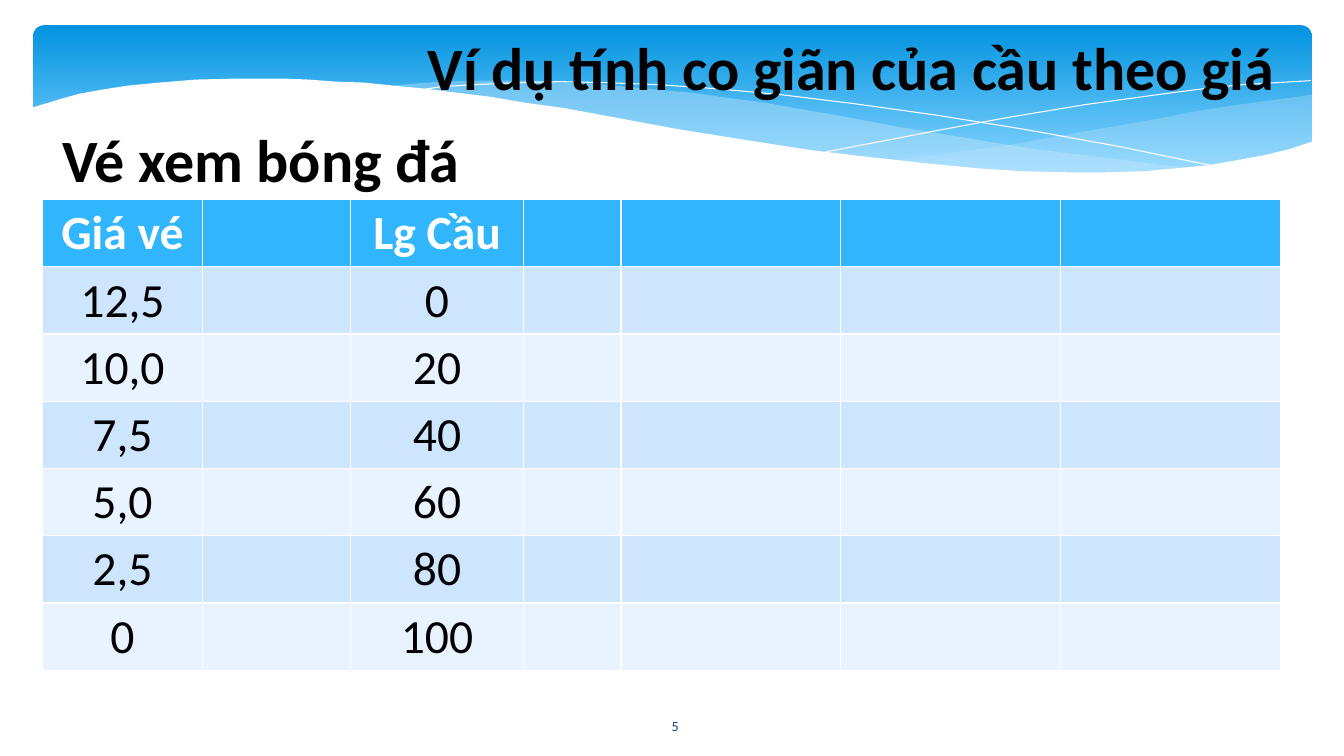
import pptx
import pptx.dml.color
import pptx.enum.shapes
import pptx.enum.text
import pptx.oxml.ns
import pptx.util
from lxml import etree
from pptx.util import Inches

ALIGN = pptx.enum.text.PP_ALIGN
ANCHOR = pptx.enum.text.MSO_ANCHOR


def color(hex_text):
    return pptx.dml.color.RGBColor.from_string(hex_text)


def write(text_frame, text, size, hex_text, bold=False):
    """Fill a text frame with one centred Calibri paragraph."""
    text_frame.word_wrap = True
    paragraph = text_frame.paragraphs[0]
    paragraph.text = text
    paragraph.alignment = ALIGN.CENTER
    paragraph.font.name = "Calibri"
    paragraph.font.size = pptx.util.Pt(size)
    paragraph.font.bold = bold
    paragraph.font.color.rgb = color(hex_text)


presentation = pptx.Presentation()
presentation.slide_width = Inches(13.33)
presentation.slide_height = Inches(7.5)
slide = presentation.slides.add_slide(presentation.slide_layouts[5])
shapes = slide.shapes

# Blue banner
banner = shapes.add_shape(
    pptx.enum.shapes.MSO_SHAPE.ROUNDED_RECTANGLE,
    Inches(0.33), Inches(0.25), Inches(12.68), Inches(1.56))
banner.adjustments[0] = 0.07
banner.shadow.inherit = False
banner.line.fill.background()
banner.fill.gradient()
banner.fill.gradient_angle = 270
for stop, position, shade in zip(banner.fill.gradient_stops, (0, 0.9), ("0293E0", "83D3FE")):
    stop.position = position
    stop.color.rgb = color(shade)

# Waves over the banner: points, fill colour, opacity in percent
right_wave = [
    (13.01, 0.94), (12.65, 0.99), (12.27, 1.04), (11.88, 1.1), (11.47, 1.18),
    (10.73, 1.31), (10.05, 1.43), (9.41, 1.52), (8.82, 1.6), (9.21, 1.64),
    (9.58, 1.67), (9.93, 1.69), (10.25, 1.71), (10.71, 1.72), (11.13, 1.72),
    (11.51, 1.7), (11.86, 1.66), (12.18, 1.62), (12.47, 1.56), (12.84, 1.47),
    (13.01, 1.42)]
middle_wave = [
    (11.9, 1.67), (11.54, 1.64), (11.16, 1.59), (10.76, 1.54), (10.34, 1.49),
    (9.89, 1.42), (9.41, 1.34), (8.91, 1.26), (8.39, 1.16), (7.98, 1.09),
    (7.59, 1.02), (7.21, 0.97), (6.86, 0.92), (6.52, 0.89), (6.19, 0.86),
    (5.89, 0.83), (5.6, 0.82), (5.32, 0.8), (4.82, 0.8), (4.37, 0.81),
    (3.99, 0.84), (3.82, 0.86), (4.31, 0.9), (4.83, 0.97), (5.39, 1.06),
    (5.99, 1.16), (6.54, 1.26), (7.06, 1.35), (7.55, 1.43), (8.02, 1.5),
    (8.46, 1.56), (8.87, 1.61), (9.26, 1.65), (9.63, 1.68), (9.98, 1.7),
    (10.3, 1.72), (10.76, 1.73), (11.18, 1.72), (11.56, 1.7)]
falling_line = [
    (4.12, 0.9), (4.38, 0.86), (4.7, 0.84), (5.16, 0.82), (5.55, 0.81),
    (6, 0.82), (6.52, 0.84), (7.1, 0.88), (7.75, 0.94), (8.48, 1.03),
    (9.27, 1.14), (10.14, 1.28), (11.08, 1.45), (12.1, 1.66)]
rising_line = [
    (8.18, 1.51), (8.7, 1.41), (9.27, 1.3), (9.97, 1.17), (10.75, 1.04),
    (11.55, 0.93), (11.94, 0.88), (12.32, 0.84), (12.67, 0.82), (13, 0.8)]
white_wave = [
    (13.03, 1.4), (12.79, 1.48), (12.54, 1.54), (12.27, 1.59), (11.98, 1.64),
    (11.67, 1.67), (11.34, 1.7), (10.97, 1.71), (10.58, 1.71), (10.15, 1.7),
    (9.69, 1.67), (9.18, 1.62), (8.63, 1.56), (8.04, 1.49), (7.4, 1.39),
    (6.71, 1.28), (5.96, 1.14), (5.58, 1.07), (5.21, 1.02), (4.86, 0.96),
    (4.53, 0.92), (4.21, 0.88), (3.9, 0.85), (3.61, 0.82), (3.33, 0.81),
    (3.06, 0.79), (2.82, 0.78), (2.35, 0.78), (1.94, 0.79), (1.58, 0.82),
    (1.27, 0.85), (1.01, 0.89), (0.79, 0.93), (0.61, 0.98), (0.48, 1.02),
    (0.31, 1.07), (0.31, 2.24), (13.03, 2.24)]

for points, shade, opacity in [
        (right_wave, "C6E7FC", 29), (middle_wave, "C6E7FC", 40),
        (falling_line, None, 100), (rising_line, None, 100),
        (white_wave, "FFFFFF", 100)]:
    start, *others = [(Inches(x), Inches(y)) for x, y in points]
    builder = shapes.build_freeform(*start)
    builder.add_line_segments(others, close=shade is not None)
    wave = builder.convert_to_shape()
    wave.shadow.inherit = False
    if shade is None:
        wave.fill.background()
        wave.line.color.rgb = color("FFFFFF")
        wave.line.width = pptx.util.Pt(0)
        continue
    wave.line.fill.background()
    wave.fill.solid()
    wave.fill.fore_color.rgb = color(shade)
    if opacity < 100:
        fill_color = wave.element.spPr.find(".//" + pptx.oxml.ns.qn("a:srgbClr"))
        etree.SubElement(fill_color, pptx.oxml.ns.qn("a:alpha"), val=str(opacity * 1000))

# Slide number, title and subtitle
number = shapes.add_textbox(Inches(5.85), Inches(7), Inches(1.69), Inches(0.4))
number.text_frame.vertical_anchor = ANCHOR.MIDDLE
write(number.text_frame, "5", 10, "073E87")

title = shapes.title
title.left, title.top = Inches(3.25), Inches(0.25)
title.width, title.height = Inches(10.38), Inches(1)
title.text_frame.vertical_anchor = ANCHOR.TOP
title.text_frame.auto_size = pptx.enum.text.MSO_AUTO_SIZE.NONE
write(title.text_frame, "Ví dụ tính co giãn của cầu theo giá", 42.9, "000000", bold=True)
title.element.getparent().append(title.element)  # in front of the banner

subtitle = shapes.add_textbox(Inches(0), Inches(1.17), Inches(5.17), Inches(1))
write(subtitle.text_frame, "Vé xem bóng đá", 42.9, "000000", bold=True)

# Price and demand table; the other columns stay empty
demand = [("Giá vé", "Lg Cầu"), ("12,5", "0"), ("10,0", "20"), ("7,5", "40"),
          ("5,0", "60"), ("2,5", "80"), ("0", "100")]
column_widths = [1.59, 1.47, 1.71, 0.97, 2.18, 2.18, 2.18]
table = shapes.add_table(
    len(demand), len(column_widths),
    Inches(0.42), Inches(1.98), Inches(12.28), Inches(4.67)).table
for column, width in zip(table.columns, column_widths):
    column.width = Inches(width)

for row_index, (price, quantity) in enumerate(demand):
    is_header = row_index == 0
    row_fill = "31B6FD" if is_header else ("E8F3FF", "CEE5FE")[row_index % 2]
    for cell in table.rows[row_index].cells:
        cell.fill.solid()
        cell.fill.fore_color.rgb = color(row_fill)
    for column_index, text in ((0, price), (2, quantity)):
        write(table.cell(row_index, column_index).text_frame, text, 34,
              "FFFFFF" if is_header else "000000", bold=is_header)

presentation.save("out.pptx")
